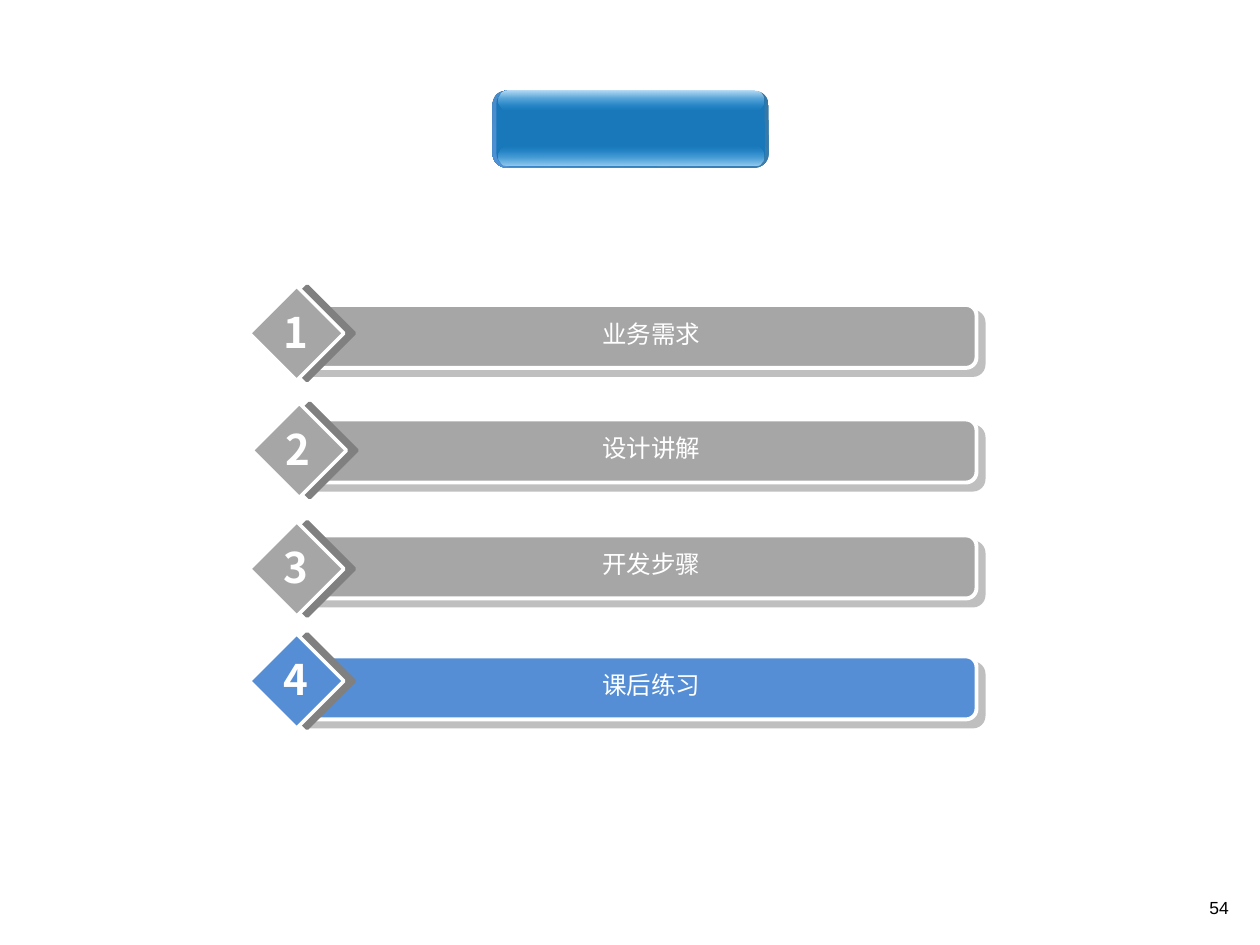
from dataclasses import dataclass
from typing import Optional

from lxml import etree
from pptx import Presentation
from pptx.dml.color import RGBColor
from pptx.enum.shapes import MSO_SHAPE
from pptx.enum.text import PP_ALIGN
from pptx.oxml.ns import qn
from pptx.util import Inches, Pt

ROUNDED = MSO_SHAPE.ROUNDED_RECTANGLE
DIAMOND = MSO_SHAPE.DIAMOND
LEFT = PP_ALIGN.LEFT
CENTER = PP_ALIGN.CENTER


@dataclass(frozen=True)
class Theme:
    inactive: str = "A6A6A6"
    active: str = "558ED5"
    white: str = "FFFFFF"
    black: str = "000000"
    shadow: str = "808080"
    button: str = "1878BA"
    rim_dark: str = "3477A4"
    rim_light: str = "4E91D4"
    glow: str = "3CA1E6"
    glow_bottom: str = "9BCFF2"
    glow_top: str = "BEE0F7"
    body_font: str = "Noto Sans CJK SC"
    page_font: str = "Arial"
    number_size: float = 24
    topic_size: float = 14
    page_size: float = 10


@dataclass(frozen=True)
class Box:
    left: float
    top: float
    width: float
    height: float

    def emu(self) -> tuple:
        return tuple(Inches(v) for v in (self.left, self.top, self.width, self.height))


@dataclass(frozen=True)
class Topic:
    number: int
    title: str
    bar_top: float
    badge_top: float
    badge_left: float
    color: str


@dataclass(frozen=True)
class Layer:
    box: Box
    rounding: float
    start: str
    end: Optional[str] = None
    angle: int = 0
    clear_stop: Optional[int] = None


@dataclass(frozen=True)
class Shadow:
    opacity: int
    distance: float
    angle: int


THEME = Theme()
BAR_SHADOW = Shadow(50, 5.7, 45)
BADGE_SHADOW = Shadow(100, 6, 0)

TOPICS = [
    Topic(1, "业务需求", 2.42, 2.27, 1.98, THEME.inactive),
    Topic(2, "设计讲解", 3.33, 3.2, 2, THEME.inactive),
    Topic(3, "开发步骤", 4.25, 4.14, 1.98, THEME.inactive),
    Topic(4, "课后练习", 5.21, 5.03, 1.98, THEME.active),
]

BUTTON_LAYERS = [
    Layer(Box(3.91, 0.72, 2.19, 0.61), 0.18, THEME.rim_dark, THEME.rim_light, 135),
    Layer(Box(3.94, 0.72, 2.13, 0.6), 0.17, THEME.button),
    Layer(Box(3.96, 1.16, 2.1, 0.15), 0.5, THEME.glow, THEME.glow_bottom, 90, 0),
    Layer(Box(3.96, 0.72, 2.1, 0.15), 0.5, THEME.glow_top, THEME.glow, 90, 1),
]


def rgb(color: str) -> RGBColor:
    return RGBColor.from_string(color)


def add_layer(group, layer: Layer) -> None:
    shape = group.shapes.add_shape(ROUNDED, *layer.box.emu())
    shape.adjustments[0] = layer.rounding
    shape.shadow.inherit = False
    shape.line.fill.background()
    if layer.end is None:
        shape.fill.solid()
        shape.fill.fore_color.rgb = rgb(layer.start)
        return
    shape.fill.gradient()
    shape.fill.gradient_angle = 360 - layer.angle
    for stop, color in zip(shape.fill.gradient_stops, (layer.start, layer.end)):
        stop.color.rgb = rgb(color)
    if layer.clear_stop is not None:
        colors = list(shape.element.spPr.iter(qn("a:srgbClr")))
        etree.SubElement(colors[layer.clear_stop], qn("a:alpha"), val="0")


def add_panel(slide, kind, box: Box, color: str, outline: float, shadow: Shadow) -> None:
    shape = slide.shapes.add_shape(kind, *box.emu())
    shape.fill.solid()
    shape.fill.fore_color.rgb = rgb(color)
    shape.line.color.rgb = rgb(THEME.white)
    shape.line.width = Pt(outline)
    shape.shadow.inherit = False
    effects = shape.element.spPr.find(qn("a:effectLst"))
    outer = etree.SubElement(
        effects, qn("a:outerShdw"), dist=str(Pt(shadow.distance)),
        dir=str(shadow.angle * 60000), algn="ctr", rotWithShape="0",
    )
    tint = etree.SubElement(outer, qn("a:srgbClr"), val=THEME.shadow)
    etree.SubElement(tint, qn("a:alpha"), val=str(shadow.opacity * 1000))


def add_text(slide, box: Box, text: str, font: str, size: float, color: str,
             align=CENTER, bold: bool = False, wrap: bool = True) -> None:
    frame = slide.shapes.add_textbox(*box.emu()).text_frame
    frame.word_wrap = wrap
    paragraph = frame.paragraphs[0]
    paragraph.text = text
    paragraph.alignment = align
    paragraph.font.name = font
    paragraph.font.size = Pt(size)
    paragraph.font.bold = bold
    paragraph.font.color.rgb = rgb(color)
    defaults = paragraph.font._element if hasattr(paragraph.font, "_element") else paragraph.font._rPr
    etree.SubElement(defaults, qn("a:ea"), typeface=font)


def add_topic(slide, topic: Topic) -> None:
    add_panel(slide, ROUNDED, Box(2.33, topic.bar_top, 5.42, 0.5),
              topic.color, 2.24, BAR_SHADOW)
    add_text(slide, Box(2.92, topic.bar_top + 0.06, 4.5, 0.34), topic.title,
             THEME.body_font, THEME.topic_size, THEME.white)
    add_panel(slide, DIAMOND, Box(topic.badge_left, topic.badge_top, 0.75, 0.75),
              topic.color, 2.01, BADGE_SHADOW)
    add_text(slide, Box(topic.badge_left + 0.17, topic.badge_top + 0.11, 0.39, 0.5),
             str(topic.number), THEME.body_font, THEME.number_size, THEME.white,
             bold=True, wrap=False)


def main() -> None:
    deck = Presentation()
    deck.slide_width, deck.slide_height = Inches(10), Inches(7.5)
    slide = deck.slides.add_slide(deck.slide_layouts[6])
    add_text(slide, Box(9.5, 7.07, 0.5, 0.27), "54", THEME.page_font,
             THEME.page_size, THEME.black, align=LEFT)
    button = slide.shapes.add_group_shape()
    for layer in BUTTON_LAYERS:
        add_layer(button, layer)
    for topic in TOPICS:
        add_topic(slide, topic)
    deck.save("out.pptx")


main()
